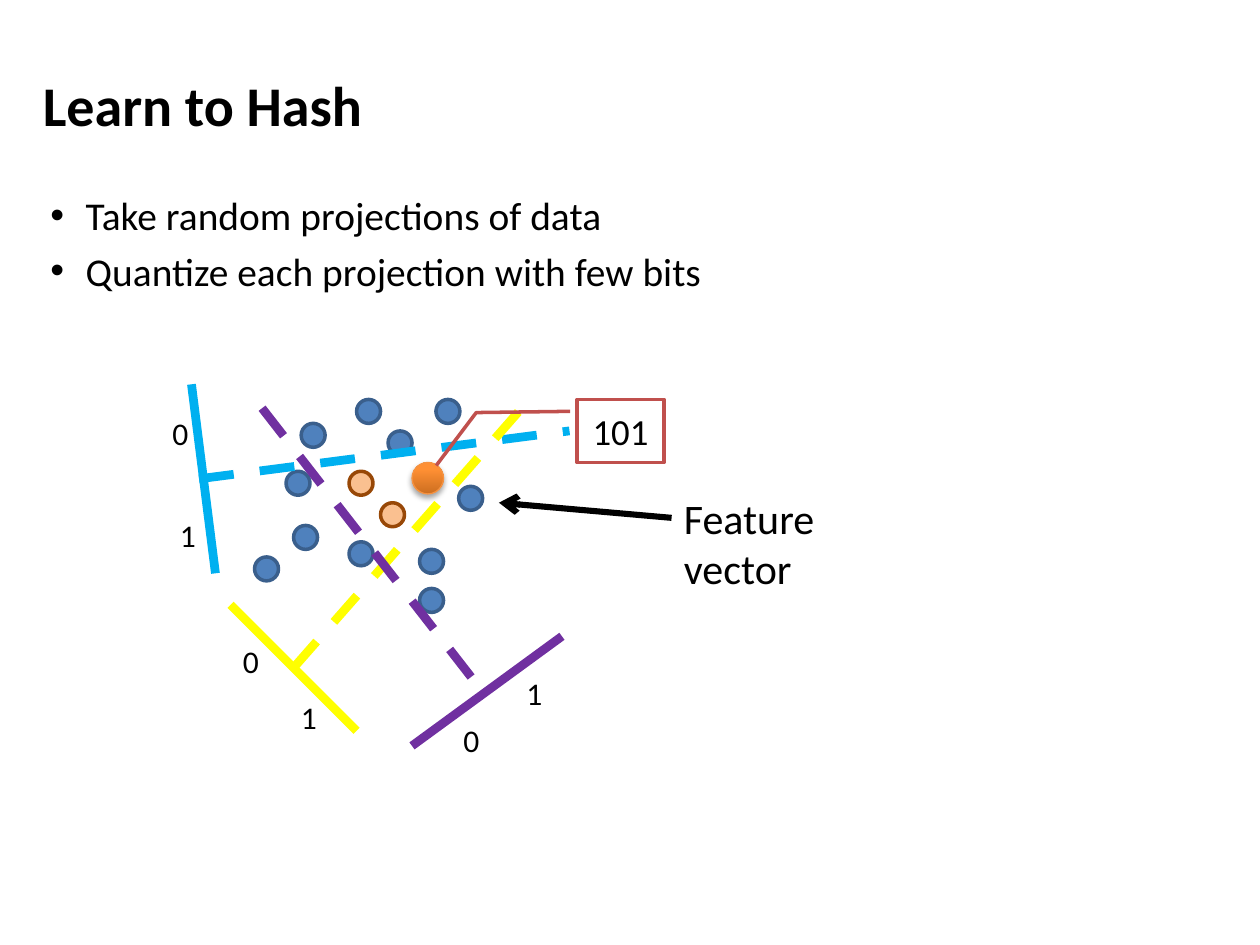
from lxml import etree
from pptx import Presentation, util as u
from pptx.dml.color import RGBColor
from pptx.enum import dml, shapes as sh, text as tx
from pptx.oxml.ns import qn

BLACK, WHITE = RGBColor(0, 0, 0), RGBColor(255, 255, 255)
BLUE, NAVY = RGBColor(0x4F, 0x81, 0xBD), RGBColor(0x3A, 0x5F, 0x8C)
PEACH, BROWN = RGBColor(0xFA, 0xC0, 0x90), RGBColor(0x98, 0x48, 0x07)
DARK, LIGHT = RGBColor(0xCC, 0x6E, 0x20), RGBColor(0xFF, 0x90, 0x34)
EDGE, RED = RGBColor(0xF6, 0x92, 0x40), RGBColor(0xC0, 0x50, 0x4D)
CYAN, YELLOW = RGBColor(0, 0xB0, 0xF0), RGBColor(255, 255, 0)
PURPLE = RGBColor(0x70, 0x30, 0xA0)

# Content
TITLE = "Learn to Hash"
POINTS = ["Take random projections of data",
          "Quantize each projection with few bits"]
DOT = 0.19
DATA = [(2.33, 4.17), (2.39, 3.36), (2.83, 3.17), (2.27, 3.74), (2.77, 4.3),
        (3.08, 3.42), (2.02, 4.42), (3.64, 3.86), (3.33, 4.67), (3.33, 4.36),
        (3.46, 3.17)]
NEAR = [(2.77, 3.74), (3.02, 3.99)]
# Colour, dashed split, solid axis, places of the bits 0 and 1
HASHES = [
    (CYAN, (1.58, 3.8, 4.52, 3.42), (1.71, 4.55, 1.52, 3.05),
     [(1.27, 3.24), (1.33, 4.05)]),
    (YELLOW, (2.33, 5.3, 4.14, 3.24), (1.83, 4.8, 2.83, 5.8),
     [(1.83, 5.05), (2.29, 5.49)]),
    (PURPLE, (2.08, 3.24, 3.83, 5.49), (3.27, 5.92, 4.46, 5.05),
     [(3.58, 5.67), (4.08, 5.3)]),
]

prs = Presentation()
prs.slide_width, prs.slide_height = u.Inches(10), u.Inches(7.5)
slide = prs.slides.add_slide(prs.slide_layouts[1])


def place(box, *at):
    box.left, box.top, box.width, box.height = map(u.Inches, at)


def write(par, words, size, bold=False):
    run = par.add_run()
    run.text = words
    run.font.name, run.font.size, run.font.bold = "Calibri", u.Pt(size), bold
    run.font.color.rgb = BLACK


def shape(kind, at, fill, edge, width):
    item = slide.shapes.add_shape(kind, *map(u.Inches, at))
    item.shadow.inherit = False
    if fill:
        item.fill.solid()
        item.fill.fore_color.rgb = fill
    item.line.color.rgb, item.line.width = edge, u.Pt(width)
    return item


def line(home, ends, color, width, dash=False):
    item = home.add_connector(sh.MSO_CONNECTOR.STRAIGHT, *map(u.Inches, ends))
    item.line.color.rgb, item.line.width = color, u.Pt(width)
    if dash:
        item.line.dash_style = dml.MSO_LINE.DASH
    etree.SubElement(item._element.spPr, qn("a:effectLst"))
    return item


def label(home, at, words, size, wrap=False):
    box = home.add_textbox(*map(u.Inches, at))
    box.text_frame.word_wrap = wrap
    write(box.text_frame.paragraphs[0], words, size)
    return box


# Title and list
title, body = slide.shapes.title, slide.placeholders[1]
place(title, 0.24, 0.47, 6.62, 0.71)
title.text_frame.vertical_anchor = tx.MSO_ANCHOR.MIDDLE
title.text_frame.paragraphs[0].alignment = tx.PP_ALIGN.LEFT
write(title.text_frame.paragraphs[0], TITLE, 32, True)

place(body, 0.3, 1.47, 7.06, 0.93)
frame = body.text_frame
frame.auto_size = tx.MSO_AUTO_SIZE.NONE
for i, point in enumerate(POINTS):
    par = frame.add_paragraph() if i else frame.paragraphs[0]
    par.space_before = u.Pt(4.5 if i else 0)
    props = par._p.get_or_add_pPr()
    props.set("marL", str(u.Inches(0.28)))
    props.set("indent", str(-u.Inches(0.28)))
    etree.SubElement(props, qn("a:buChar"), char="•")
    write(par, point, 22.5)

# Data points
OVAL = sh.MSO_SHAPE.OVAL
for x, y in DATA:
    shape(OVAL, (x, y, DOT, DOT), BLUE, NAVY, 2)

# Query point with gradient and soft shadow
query = shape(OVAL, (3.27, 3.67, 0.25, 0.25), None, EDGE, 0.75)
query.fill.gradient()
query.fill.gradient_angle = 90
for stop, color, pos in zip(query.fill.gradient_stops, (DARK, LIGHT), (0, 0.8)):
    stop.color.rgb, stop.position = color, pos
glow = etree.SubElement(query._element.spPr.find(qn("a:effectLst")),
                        qn("a:outerShdw"), blurRad=str(u.Pt(3.1)),
                        dist=str(u.Pt(1.8)), dir="5400000", rotWithShape="0")
tint = etree.SubElement(glow, qn("a:srgbClr"), val="000000")
etree.SubElement(tint, qn("a:alpha"), val="35000")

# Hash projections
for color, split, axis, bits in HASHES:
    group = slide.shapes.add_group_shape().shapes
    line(group, split, color, 5, dash=True)
    line(group, axis, color, 5)
    for bit, (x, y) in enumerate(bits):
        label(group, (x, y, 0.33, 0.4), str(bit), 18)

# Hash code callout
code = shape(sh.MSO_SHAPE.LINE_CALLOUT_2, (4.58, 3.17, 0.69, 0.5), WHITE, RED, 2)
for i, share in enumerate((0.19, -0.08, 0.21, -1.16, 1.05, -1.62)):
    code.adjustments[i] = share
code.text_frame.word_wrap = False
code.text_frame.vertical_anchor = tx.MSO_ANCHOR.MIDDLE
code.text_frame.paragraphs[0].alignment = tx.PP_ALIGN.CENTER
write(code.text_frame.paragraphs[0], "101", 21)

# Near neighbours
for x, y in NEAR:
    shape(OVAL, (x, y, DOT, DOT), PEACH, BROWN, 2)

# Feature vector arrow and label
arrow = line(slide.shapes, (5.33, 4.11, 3.96, 3.99), BLACK, 3.5)
etree.SubElement(arrow.line._get_or_add_ln(), qn("a:tailEnd"), type="arrow")
note = label(slide.shapes, (5.33, 3.86, 2.13, 0.5), "Feature vector", 24, True)
note.text_frame.margin_right = u.Inches(0.3)

prs.save("out.pptx")
